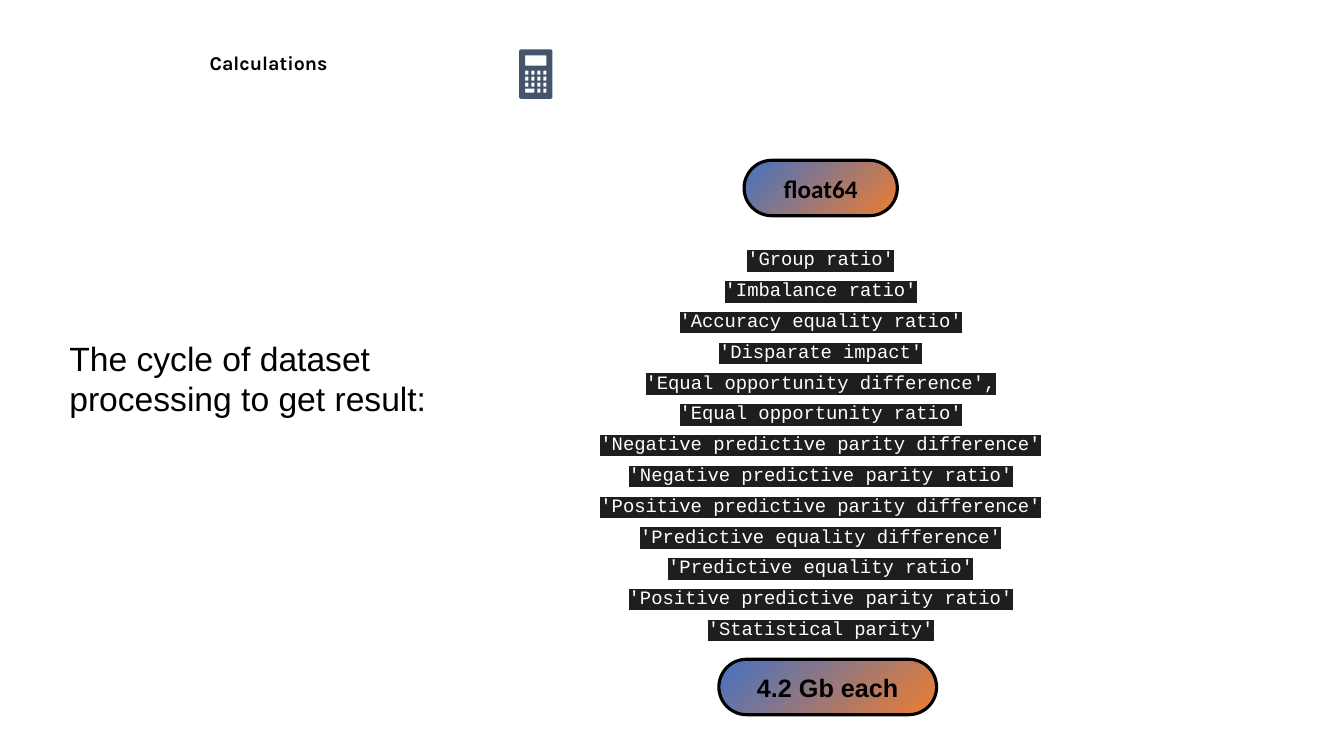
import math
from dataclasses import dataclass

import pptx
import pptx.dml.color
import pptx.enum.shapes
import pptx.enum.text
import pptx.oxml
import pptx.oxml.ns
import pptx.shapes.autoshape
import pptx.slide
import pptx.text.text
import pptx.util

Inches = pptx.util.Inches
RGB = pptx.dml.color.RGBColor.from_string
Align = pptx.enum.text.PP_ALIGN


@dataclass(frozen=True)
class Theme:
    ink: str = "000000"
    icon: str = "44546A"
    pill_start: str = "4472C4"
    pill_end: str = "ED7D31"
    code_ink: str = "FFFFFF"
    code_back: str = "1E1E1E"
    title_size: float = 14
    body_size: float = 24
    pill_size: float = 18
    code_size: float = 13.5


@dataclass(frozen=True)
class Area:
    left: float
    top: float
    width: float
    height: float

    def lengths(self) -> tuple[int, int, int, int]:
        return Inches(self.left), Inches(self.top), Inches(self.width), Inches(self.height)


@dataclass(frozen=True)
class Style:
    font: str
    size: float
    color: str = "000000"
    bold: bool = False
    align: Align = Align.CENTER
    spacing: float = 1.0
    highlight: str = ""


@dataclass(frozen=True)
class Label:
    area: Area
    lines: tuple[str, ...]
    style: Style
    inset: float = 0.1


THEME = Theme()

METRICS = (
    "'Group ratio'",
    "'Imbalance ratio'",
    "'Accuracy equality ratio'",
    "'Disparate impact'",
    "'Equal opportunity difference',",
    "'Equal opportunity ratio'",
    "'Negative predictive parity difference'",
    "'Negative predictive parity ratio'",
    "'Positive predictive parity difference'",
    "'Predictive equality difference'",
    "'Predictive equality ratio'",
    "'Positive predictive parity ratio'",
    "'Statistical parity'",
)

PILLS = (
    Label(Area(7.38, 1.59, 1.52, 0.55), ("float64",),
          Style("Calibri", THEME.pill_size, THEME.ink, bold=True)),
    Label(Area(7.13, 6.54, 2.16, 0.55), ("4.2 Gb each",),
          Style("Arial", THEME.pill_size, THEME.ink, bold=True)),
)

TEXTS = (
    Label(Area(5.82, 2.27, 4.64, 4.22), METRICS,
          Style("Courier New", THEME.code_size, THEME.code_ink,
                spacing=1.36, highlight=THEME.code_back)),
    Label(Area(0.43, 0.46, 4.47, 0.55), ("Calculations",),
          Style("Karla", THEME.title_size, THEME.ink, bold=True), inset=0.05),
    Label(Area(0.59, 3.3, 4.14, 0.91), ("The cycle of dataset processing to get result:",),
          Style("Arial", THEME.body_size, THEME.ink, align=Align.LEFT), inset=0.05),
)


def highlight_span(span: pptx.text.text._Run, color: str) -> None:
    mark = pptx.oxml.parse_xml(
        f'<a:highlight {pptx.oxml.ns.nsdecls("a")}><a:srgbClr val="{color}"/></a:highlight>')
    span.font._element.append(mark)


def write_lines(frame: pptx.text.text.TextFrame, label: Label) -> None:
    style = label.style
    frame.word_wrap = True
    frame.margin_left = frame.margin_right = Inches(0.1)
    frame.margin_top = frame.margin_bottom = Inches(label.inset)
    for index, line in enumerate(label.lines):
        para = frame.add_paragraph() if index else frame.paragraphs[0]
        para.alignment = style.align
        para.line_spacing = style.spacing
        para.font.name = style.font
        para.font.size = pptx.util.Pt(style.size)
        para.font.bold = style.bold
        para.font.color.rgb = RGB(style.color)
        span = para.add_run()
        span.text = line
        if style.highlight:
            highlight_span(span, style.highlight)


def add_text(page: pptx.slide.Slide, label: Label) -> None:
    box = page.shapes.add_textbox(*label.area.lengths())
    write_lines(box.text_frame, label)


def add_pill(page: pptx.slide.Slide, label: Label) -> None:
    pill = page.shapes.add_shape(
        pptx.enum.shapes.MSO_SHAPE.ROUNDED_RECTANGLE, *label.area.lengths())
    pill.adjustments[0] = 0.5
    pill.shadow.inherit = False
    pill.fill.gradient()
    pill.fill.gradient_angle = 315
    for stop, color in zip(pill.fill.gradient_stops, (THEME.pill_start, THEME.pill_end)):
        stop.color.rgb = RGB(color)
    pill.line.color.rgb = RGB(THEME.ink)
    pill.line.width = pptx.util.Pt(2.25)
    pill.text_frame.vertical_anchor = pptx.enum.text.MSO_ANCHOR.MIDDLE
    write_lines(pill.text_frame, label)


def outline(area: Area, radius: float = 0) -> list[tuple[int, int]]:
    """Corner points of an area, clockwise, with arcs where it is rounded."""
    right, bottom = area.left + area.width - radius, area.top + area.height - radius
    left, top = area.left + radius, area.top + radius
    corners = ((left, top, 180), (right, top, 270), (right, bottom, 0), (left, bottom, 90))
    turns = range(0, 91, 15) if radius else (0,)
    return [(Inches(x + radius * math.cos(math.radians(start + turn))),
             Inches(y + radius * math.sin(math.radians(start + turn))))
            for x, y, start in corners for turn in turns]


def add_calculator(page: pptx.slide.Slide) -> None:
    pitch, left, top = 0.06, 5.21, 0.7
    screen = Area(left, 0.55, 0.21, 0.1)
    wide_key = Area(left, top + 3 * pitch, 0.09, 0.04)
    keys = [Area(left + column * pitch, top + row * pitch, 0.03, 0.04)
            for row in range(4) for column in range(4) if row < 3 or column > 1]
    body = outline(Area(5.15, 0.49, 0.33, 0.49), radius=0.02)
    builder = page.shapes.build_freeform(*body[0], scale=1.0)
    builder.add_line_segments(body[1:], close=True)
    for hole in (screen, wide_key, *keys):
        points = outline(hole)[::-1]
        builder.move_to(*points[0])
        builder.add_line_segments(points[1:], close=True)
    icon = builder.convert_to_shape()
    icon.shadow.inherit = False
    icon.fill.solid()
    icon.fill.fore_color.rgb = RGB(THEME.icon)
    icon.line.fill.background()


def main() -> None:
    deck = pptx.Presentation()
    deck.slide_width, deck.slide_height = Inches(13.33), Inches(7.5)
    page = deck.slides.add_slide(deck.slide_layouts[6])

    # Header icon
    add_calculator(page)
    # Data type above the metrics and size below them
    for pill in PILLS:
        add_pill(page, pill)
    # Metric list, title and caption
    for text in TEXTS:
        add_text(page, text)

    deck.save("out.pptx")


if __name__ == "__main__":
    main()
